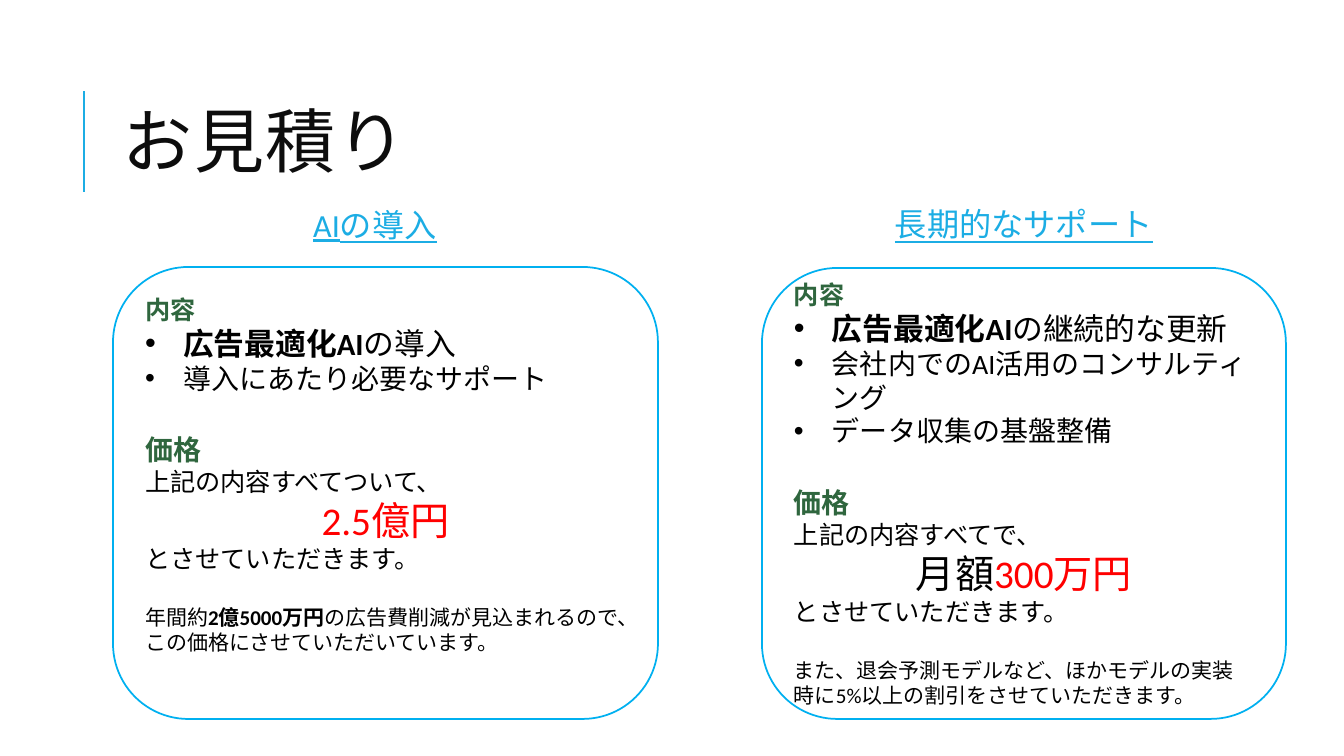
from lxml.etree import SubElement
from pptx import Presentation
from pptx.dml.color import RGBColor
from pptx.enum.shapes import MSO_CONNECTOR, MSO_SHAPE
from pptx.enum.text import MSO_ANCHOR as Anchor, PP_ALIGN as Align
from pptx.oxml.ns import qn
from pptx.util import Pt

EMU_PER_PX = 914400 / 100.8
LATIN, JAPANESE = "Calibri", "Noto Sans CJK JP"
BLUE, BORDER, GREEN, RED = "1CADE4", "00B0F0", "2F663E", "FF0000"
BLACK, INK, WHITE = "000000", "0D0D0D", "FFFFFF"

TITLE = "お見積り"

# Each paragraph: its runs as (text, format), then its paragraph format.
CONTENT = ([("内容", dict(size=18, color=GREEN, bold=True))], {})
PRICE = ([("価格", dict(size=20, color=GREEN, bold=True))], dict(before=27))
CLOSING = ([("とさせていただきます。", dict(size=18))], {})
BULLET, CENTER, NOTE = dict(bullet=True), dict(align=Align.CENTER), dict(before=22)

PLANS = [
    dict(
        heading="AIの導入", heading_at=(113, 201, 524, 52),
        box_at=(113, 267, 545, 452), anchor=Anchor.TOP,
        paragraphs=[
            CONTENT,
            ([("広告最適化AI", dict(size=22, bold=True)), ("の導入", dict(size=22))], BULLET),
            ([("導入にあたり必要なサポート", dict(size=20))], BULLET),
            PRICE,
            ([("上記の内容すべてついて、", dict(size=18))], {}),
            ([("2.5億円", dict(size=28, color=RED))], CENTER),
            CLOSING,
            ([("年間約", dict(size=15)), ("2億5000万円", dict(size=15, bold=True)),
              ("の広告費削減が見込まれるので、この価格にさせていただいています。", dict(size=15))], NOTE),
        ],
    ),
    dict(
        heading="長期的なサポート", heading_at=(762, 181, 524, 91),
        box_at=(762, 268, 524, 451), anchor=Anchor.MIDDLE,
        paragraphs=[
            CONTENT,
            ([("広告最適化AI", dict(size=22, bold=True)), ("の継続的な更新", dict(size=22))], BULLET),
            ([("会社内でのAI活用のコンサルティング", dict(size=20))], BULLET),
            ([("データ収集の基盤整備", dict(size=20))], BULLET),
            PRICE,
            ([("上記の内容すべてで、", dict(size=18))], {}),
            ([("月額", dict(size=28)), ("300万円", dict(size=28, color=RED))], CENTER),
            CLOSING,
            ([("また、退会予測モデルなど、ほかモデルの実装時に5%以上の割引をさせていただきます。",
               dict(size=15))], NOTE),
        ],
    ),
]


def px(length):
    return round(length * EMU_PER_PX)


def rgb(color):
    return RGBColor.from_string(color)


def add_span(para, text, size=18, color=BLACK, bold=False, underline=False,
             latin=LATIN, spacing=0):
    span = para.add_run()
    span.text = text
    font = span.font
    font.size, font.bold, font.underline = Pt(size), bold, underline
    font.name = latin
    font.color.rgb = rgb(color)
    properties = span.font._element
    if spacing:
        properties.set("spc", str(spacing * 100))
    east_asian = SubElement(properties, qn("a:ea"))
    east_asian.set("typeface", JAPANESE)


def format_para(para, align=Align.LEFT, before=0, line=1.0, bullet=False):
    para.alignment, para.space_before, para.line_spacing = align, Pt(before), line
    if bullet:
        properties = para._p.get_or_add_pPr()
        properties.set("marL", str(px(38)))
        properties.set("indent", str(-px(38)))
        SubElement(properties, qn("a:buFont")).set("typeface", "Arial")
        SubElement(properties, qn("a:buChar")).set("char", "•")


def fill_frame(frame, paragraphs, anchor=Anchor.MIDDLE, side=10):
    frame.word_wrap, frame.vertical_anchor = True, anchor
    frame.margin_left = frame.margin_right = px(side)
    frame.margin_top = frame.margin_bottom = px(5)
    for index, (spans, layout) in enumerate(paragraphs):
        para = frame.add_paragraph() if index else frame.paragraphs[0]
        format_para(para, **layout)
        for text, style in spans:
            add_span(para, text, **style)


def add_label(page, at, text, layout, side=10, **style):
    box = page.shapes.add_textbox(*map(px, at))
    fill_frame(box.text_frame, [([(text, style)], layout)], side=side)


def add_accent_line(page):
    line = page.shapes.add_connector(MSO_CONNECTOR.STRAIGHT, px(84), px(192), px(84), px(91))
    line.line.color.rgb, line.line.width = rgb(BLUE), Pt(1.5)
    SubElement(line._element.spPr, qn("a:effectLst"))


def add_plan(page, plan):
    add_label(page, plan["heading_at"], plan["heading"], dict(align=Align.CENTER, line=0.9),
              side=15, size=23, color=BLUE, underline=True)
    box = page.shapes.add_shape(MSO_SHAPE.ROUNDED_RECTANGLE, *map(px, plan["box_at"]))
    box.shadow.inherit = False
    box.fill.solid()
    box.fill.fore_color.rgb = rgb(WHITE)
    box.line.color.rgb, box.line.width = rgb(BORDER), Pt(1.25)
    fill_frame(box.text_frame, plan["paragraphs"], plan["anchor"])


def main():
    deck = Presentation()
    deck.slide_width, deck.slide_height = px(1344), px(756)
    page = deck.slides.add_slide(deck.slide_layouts[6])
    add_accent_line(page)
    add_label(page, (113, 65, 1072, 165), TITLE, dict(line=0.8),
              size=50, color=INK, latin=JAPANESE, spacing=1)
    for plan in PLANS:
        add_plan(page, plan)
    deck.save("out.pptx")


if __name__ == "__main__":
    main()
